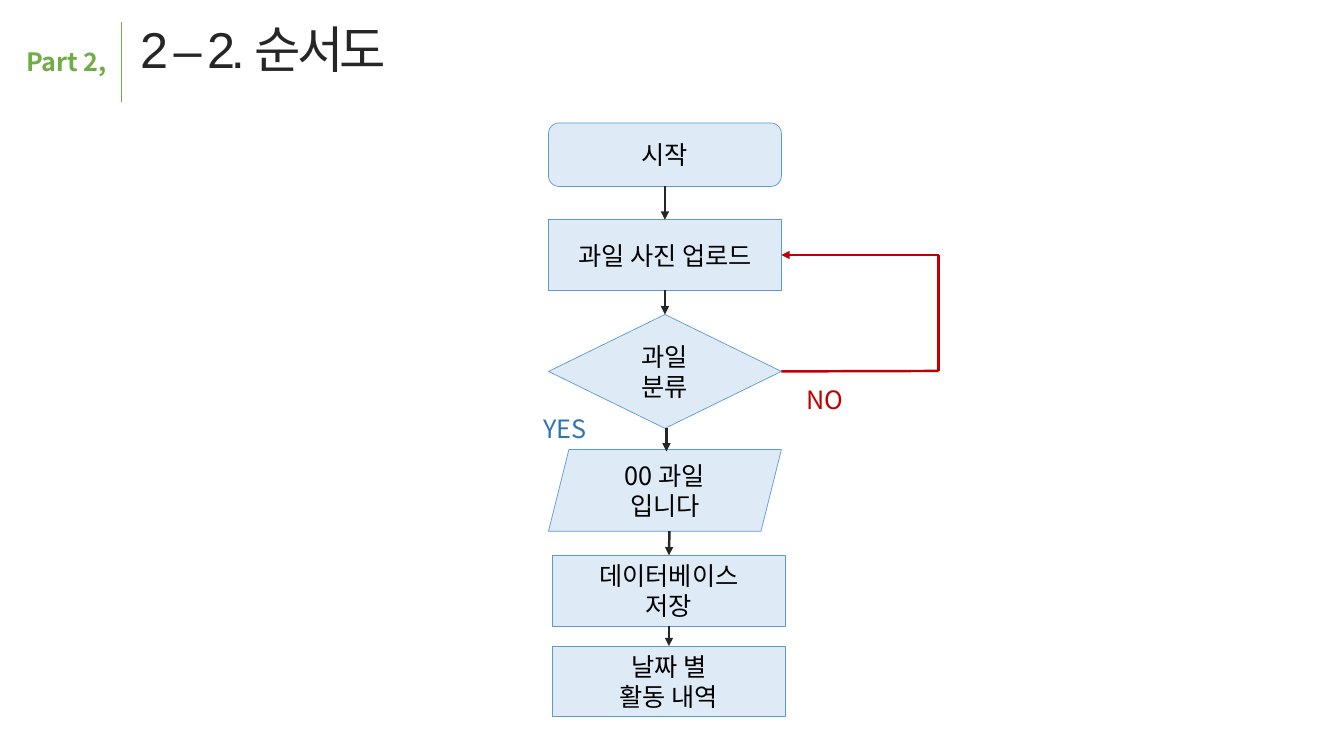
from lxml import etree
from pptx import Presentation
from pptx import util as u
from pptx.dml.color import RGBColor
from pptx.enum import shapes, text
from pptx.oxml.ns import qn

COLORS = {
    "title": "262626",
    "accent": "70AD47",
    "box": "DEEBF7",
    "outline": "5B9BD5",
    "body": "000000",
    "arrow": "262626",
    "yes": "2E75B6",
    "no": "C00000",
}
BODY_FONT = "Noto Sans CJK KR"
TOP, RIGHT, BOTTOM = 0, 3, 2
STEP_LEFT, STEP_WIDTH = 5.44, 2.31
SAVE_LEFT = 5.48
LOOP_X = 9.31


def rgb(name):
    return RGBColor.from_string(COLORS[name])


def write(frame, words, color="body", size=18, font=BODY_FONT, bold=False,
          align=text.PP_ALIGN.LEFT, spacing=None):
    for number, line in enumerate(words.split("\n")):
        paragraph = frame.paragraphs[0] if number == 0 else frame.add_paragraph()
        paragraph.alignment = align
        run = paragraph.add_run()
        run.text = line
        run.font.size = u.Pt(size)
        run.font.name = font
        run.font.bold = bold
        run.font.color.rgb = rgb(color)
        properties = run.font._element
        etree.SubElement(properties, qn("a:ea")).set("typeface", font)
        if spacing is not None:
            properties.set("spc", str(spacing * 100))


class Flowchart:
    def __init__(self, slide):
        self.slide = slide

    def label(self, words, left, top, width, height, wrap=True, **style):
        box = self.slide.shapes.add_textbox(
            *map(u.Inches, (left, top, width, height)))
        box.text_frame.word_wrap = wrap
        box.text_frame.auto_size = text.MSO_AUTO_SIZE.SHAPE_TO_FIT_TEXT
        write(box.text_frame, words, **style)

    def step(self, words, kind, left, top, height):
        box = self.slide.shapes.add_shape(
            kind, *map(u.Inches, (left, top, STEP_WIDTH, height)))
        box.shadow.inherit = False
        box.fill.solid()
        box.fill.fore_color.rgb = rgb("box")
        box.line.color.rgb = rgb("outline")
        box.line.width = u.Pt(0.5)
        box.text_frame.word_wrap = True
        box.text_frame.vertical_anchor = text.MSO_ANCHOR.MIDDLE
        write(box.text_frame, words, align=text.PP_ALIGN.CENTER)
        return box

    def line(self, start, end, color="arrow", width=1.75, arrow=True,
             source=None, target=None):
        connector = self.slide.shapes.add_connector(
            shapes.MSO_CONNECTOR.STRAIGHT, *map(u.Inches, (*start, *end)))
        connector.line.color.rgb = rgb(color)
        connector.line.width = u.Pt(width)
        if arrow:
            tail = etree.SubElement(connector.line._get_or_add_ln(), qn("a:tailEnd"))
            tail.set("type", "triangle")
        etree.SubElement(connector._element.spPr, qn("a:effectLst"))
        if source:
            connector.begin_connect(*source)
        if target:
            connector.end_connect(*target)


def main():
    deck = Presentation()
    deck.slide_width, deck.slide_height = u.Inches(13.33), u.Inches(7.5)
    chart = Flowchart(deck.slides.add_slide(deck.slide_layouts[6]))
    kinds = shapes.MSO_SHAPE

    chart.label("2 – 2. 순서도", 1.29, 0.13, 2.75, 0.71, wrap=False,
                color="title", size=36, font="Arial", spacing=-3)
    chart.label("Part 2,", 0.16, 0.41, 1.03, 0.4, wrap=False,
                color="accent", bold=True)
    chart.line((1.2, 0.22), (1.2, 1.01), "accent", 0.5, arrow=False)

    start = chart.step("시작", kinds.ROUNDED_RECTANGLE, STEP_LEFT, 1.22, 0.63)
    upload = chart.step("과일 사진 업로드", kinds.RECTANGLE, STEP_LEFT, 2.18, 0.7)
    classify = chart.step("과일\n분류", kinds.FLOWCHART_DECISION, STEP_LEFT, 3.12, 1.13)
    chart.step("00 과일\n입니다", kinds.PARALLELOGRAM, STEP_LEFT, 4.46, 0.81)
    database = chart.step("데이터베이스\n저장", kinds.RECTANGLE, SAVE_LEFT, 5.51, 0.7)
    history = chart.step("날짜 별\n활동 내역", kinds.RECTANGLE, SAVE_LEFT, 6.41, 0.7)

    chart.line((6.6, 1.85), (6.6, 2.18), source=(start, BOTTOM), target=(upload, TOP))
    chart.line((6.6, 2.88), (6.6, 3.12), source=(upload, BOTTOM), target=(classify, TOP))
    chart.line((6.61, 4.25), (6.61, 4.48))
    chart.line((6.64, 5.27), (6.64, 5.51), target=(database, TOP))
    chart.line((6.64, 6.21), (6.64, 6.41), source=(database, BOTTOM), target=(history, TOP))

    chart.line((7.75, 3.68), (LOOP_X, 3.68), "no", arrow=False, source=(classify, RIGHT))
    chart.line((LOOP_X, 3.68), (LOOP_X, 2.53), "no", arrow=False)
    chart.line((LOOP_X, 2.53), (7.75, 2.53), "no", target=(upload, RIGHT))

    chart.label("YES", 5.29, 4.05, 0.85, 0.4, color="yes")
    chart.label("NO", 7.9, 3.76, 0.85, 0.4, color="no")

    deck.save("out.pptx")


if __name__ == "__main__":
    main()
